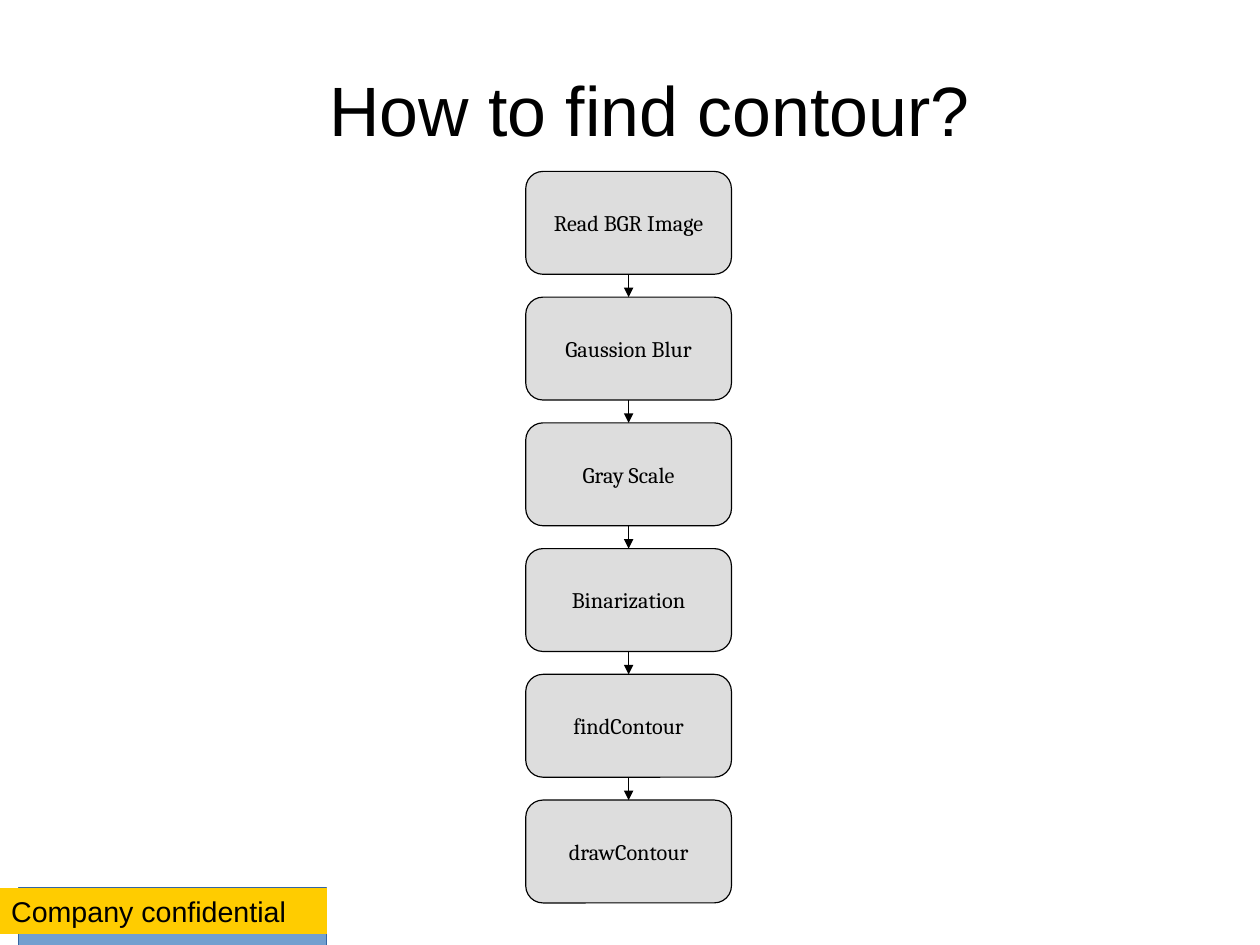
"""Build a slide with a vertical flowchart of the contour finding steps."""
from lxml.etree import SubElement
from pptx import Presentation
from pptx.dml.color import RGBColor
from pptx.enum.shapes import MSO_CONNECTOR, MSO_SHAPE
from pptx.enum.text import MSO_ANCHOR, PP_ALIGN
from pptx.oxml.ns import qn
from pptx.util import Cm, Inches, Pt

TITLE = "How to find contour?"
STEPS = ["Read BGR Image", "Gaussion Blur", "Gray Scale",
         "Binarization", "findContour", "drawContour"]
NOTICE = "Company confidential"

BLACK = RGBColor(0x00, 0x00, 0x00)
GRAY = RGBColor(0xDD, 0xDD, 0xDD)
BLUE = RGBColor(0x72, 0x9F, 0xCF)
DARK_BLUE = RGBColor(0x34, 0x65, 0xA4)
YELLOW = RGBColor(0xFF, 0xCC, 0x00)

TITLE_FONT = {"name": "Arial", "size": Pt(44)}
STEP_FONT = {"name": "Cambria", "size": Pt(14)}
NOTICE_FONT = {"name": "Arial", "size": Pt(18)}

STEP_LEFT, STEP_TOP = 4.6, 1.5
STEP_WIDTH, STEP_HEIGHT, STEP_GAP = 1.8, 0.9, 0.2


def write_text(shape, text, font, alignment, anchor):
    frame = shape.text_frame
    frame.word_wrap = True
    frame.vertical_anchor = anchor
    paragraph = frame.paragraphs[0]
    paragraph.alignment = alignment
    run = paragraph.add_run()
    run.text = text
    for name, value in font.items():
        setattr(run.font, name, value)
    run.font.color.rgb = BLACK


def add_box(slide, kind, box, fill, line=None):
    shape = slide.shapes.add_shape(kind, *map(Inches, box))
    shape.shadow.inherit = False
    shape.fill.solid()
    shape.fill.fore_color.rgb = fill
    if line is None:
        shape.line.fill.background()
    else:
        shape.line.color.rgb = line
        shape.line.width = Pt(0.75)
    return shape


def add_arrow(slide, upper, lower):
    arrow = slide.shapes.add_connector(MSO_CONNECTOR.STRAIGHT, 0, 0, 0, 0)
    arrow.begin_connect(upper, 2)
    arrow.end_connect(lower, 0)
    arrow.line.color.rgb = BLACK
    arrow.line.width = Pt(0.75)
    properties = arrow.line._get_or_add_ln()
    SubElement(properties, qn("a:tailEnd"), type="triangle")
    SubElement(properties.getparent(), qn("a:effectLst"))


def main():
    presentation = Presentation()
    presentation.slide_width = Cm(28)
    presentation.slide_height = Cm(21)
    slide = presentation.slides.add_slide(presentation.slide_layouts[6])

    title = slide.shapes.add_textbox(*map(Inches, (1.07, 0.4, 9.23, 1.1)))
    write_text(title, TITLE, TITLE_FONT, PP_ALIGN.CENTER, MSO_ANCHOR.MIDDLE)

    steps = []
    for index, text in enumerate(STEPS):
        top = STEP_TOP + index * (STEP_HEIGHT + STEP_GAP)
        step = add_box(slide, MSO_SHAPE.ROUNDED_RECTANGLE,
                       (STEP_LEFT, top, STEP_WIDTH, STEP_HEIGHT), GRAY, BLACK)
        write_text(step, text, STEP_FONT, PP_ALIGN.CENTER, MSO_ANCHOR.MIDDLE)
        steps.append(step)
    for upper, lower in zip(steps, steps[1:]):
        add_arrow(slide, upper, lower)

    add_box(slide, MSO_SHAPE.RECTANGLE, (0.16, 7.77, 2.7, 0.5), BLUE, DARK_BLUE)
    notice = add_box(slide, MSO_SHAPE.RECTANGLE, (0, 7.77, 2.86, 0.4), YELLOW)
    write_text(notice, NOTICE, NOTICE_FONT, PP_ALIGN.LEFT, MSO_ANCHOR.TOP)

    presentation.save("out.pptx")


if __name__ == "__main__":
    main()
